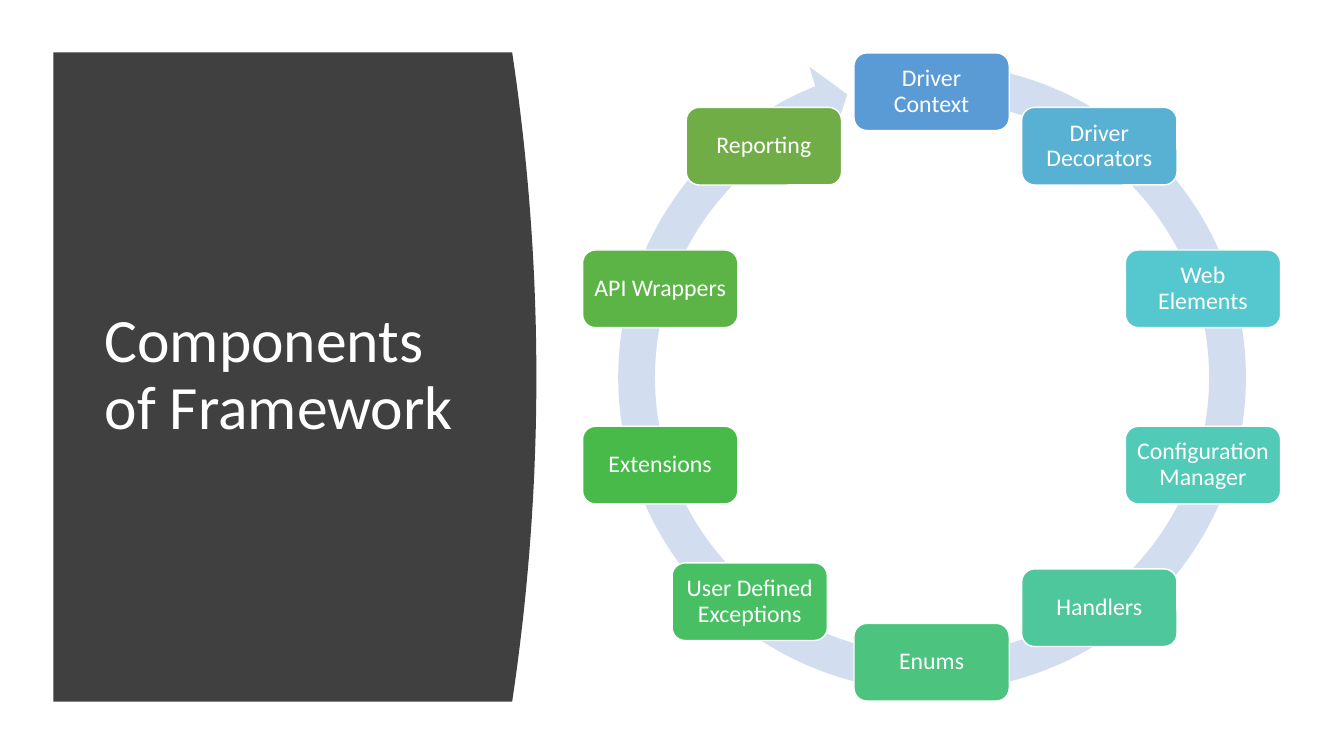
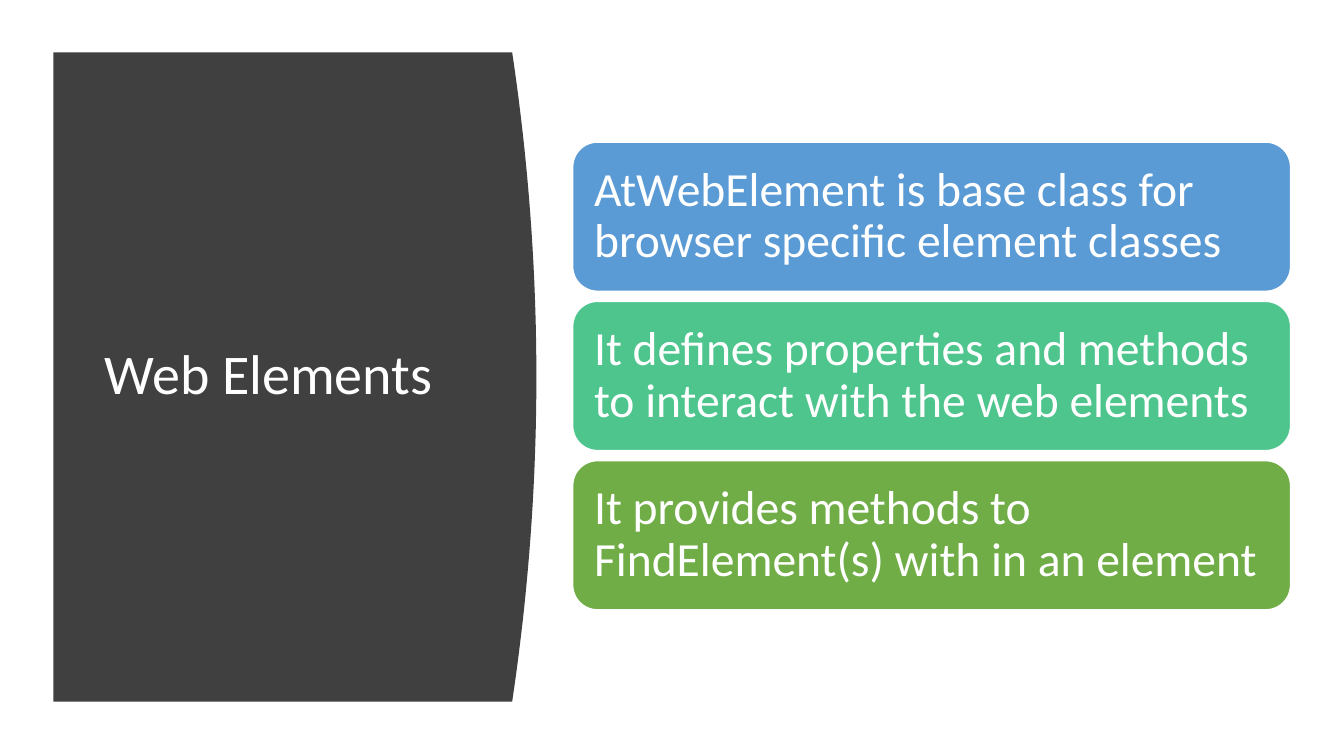
from math import cos, radians, sin

from pptx import Presentation
from pptx import util as u
from pptx.dml.color import RGBColor
from pptx.enum import shapes, text

FONT = "Calibri"
WHITE, PANEL, RING = "FFFFFF", "404040", "D2DEEF"

CYCLE_TITLE = ("Components of Framework", 44)
# Label, fill, nudge away from the regular place on the ring
COMPONENTS = [
    ("Driver Context", "5B9BD5", (0, 0)),
    ("Driver Decorators", "58B1D2", (0, 0)),
    ("Web Elements", "55C7CE", (0, 0)),
    ("Configuration Manager", "52CAB8", (0, 0)),
    ("Handlers", "4FC79C", (0, 0)),
    ("Enums", "4CC37F", (0, 0)),
    ("User Defined Exceptions", "49BF64", (-0.14, -0.06)),
    ("Extensions", "47BA49", (0, 0)),
    ("API Wrappers", "5CB447", (0, 0)),
    ("Reporting", "70AD47", (0, 0)),
]
RING_ADJUSTMENTS = (0.055, 3.307, 148.693, 167.503, 0.058)

POINTS_TITLE = ("Web Elements", 40)
POINTS = [
    ("AtWebElement is base class for browser specific element classes", "5B9BD5"),
    ("It defines properties and methods to interact with the web elements", "4DC58D"),
    ("It provides methods to FindElement(s) with in an element", "70AD47"),
]


def rgb(value):
    return RGBColor.from_string(value)


def paint(shape, fill, line=None):
    shape.shadow.inherit = False
    shape.fill.solid()
    shape.fill.fore_color.rgb = rgb(fill)
    if line:
        shape.line.color.rgb = rgb(line)
        shape.line.width = u.Pt(1)
    else:
        shape.line.fill.background()


def write(shape, words, size, align, inset=None):
    frame = shape.text_frame
    frame.word_wrap = True
    frame.vertical_anchor = text.MSO_ANCHOR.MIDDLE
    if inset is not None:
        frame.margin_left = frame.margin_right = u.Inches(inset)
        frame.margin_top = frame.margin_bottom = u.Inches(inset)
    paragraph = frame.paragraphs[0]
    paragraph.text = words
    paragraph.alignment = align
    paragraph.line_spacing = 0.9
    paragraph.font.size = u.Pt(size)
    paragraph.font.name = FONT
    paragraph.font.color.rgb = rgb(WHITE)


def add_preset(slide, kind, *box):
    return slide.shapes.add_shape(kind, *map(u.Inches, box))


def add_card(slide, box, words, fill, size, align, inset):
    card = add_preset(slide, shapes.MSO_SHAPE.ROUNDED_RECTANGLE, *box)
    paint(card, fill, WHITE)
    write(card, words, size, align, inset)


def add_panel(slide):
    """Dark title panel whose right edge bulges outwards as a parabola."""
    left, right, top, bottom, bulge, steps = 0.53, 5.08, 0.52, 6.96, 0.24, 40
    edge = []
    for step in range(steps + 1):
        t = step / steps
        edge.append((right + bulge * 4 * t * (1 - t), top + (bottom - top) * t))
    outline = slide.shapes.build_freeform(u.Inches(left), u.Inches(top))
    outline.add_line_segments(
        [(u.Inches(x), u.Inches(y)) for x, y in edge + [(left, bottom)]], close=True)
    paint(outline.convert_to_shape(), PANEL)


def add_titled_slide(prs, title, size):
    slide = prs.slides.add_slide(prs.slide_layouts[6])
    add_panel(slide)
    box = slide.shapes.add_textbox(*map(u.Inches, (0.94, 1.11, 3.74, 5.24)))
    write(box, title, size, text.PP_ALIGN.LEFT)
    return slide


def build_cycle(prs):
    slide = add_titled_slide(prs, *CYCLE_TITLE)
    ring = add_preset(slide, shapes.MSO_SHAPE.CIRCULAR_ARROW, 5.93, 0.43, 6.63, 6.63)
    for index, value in enumerate(RING_ADJUSTMENTS):
        ring.adjustments[index] = value
    paint(ring, RING)

    centre_x, centre_y, radius = 9.24, 3.74, 2.83
    width, height = 1.54, 0.77
    for index, (label, fill, (dx, dy)) in enumerate(COMPONENTS):
        angle = radians(360 / len(COMPONENTS) * index)
        x = centre_x + radius * sin(angle) + dx - width / 2
        y = centre_y - radius * cos(angle) + dy - height / 2
        add_card(slide, (x, y, width, height), label, fill, 17,
                 text.PP_ALIGN.CENTER, 0.07)


def build_points(prs):
    slide = add_titled_slide(prs, *POINTS_TITLE)
    top, height, gap = 1.41, 1.48, 0.1
    for index, (point, fill) in enumerate(POINTS):
        y = top + index * (height + gap)
        add_card(slide, (5.68, y, 7.12, height), point, fill, 34,
                 text.PP_ALIGN.LEFT, 0.14)


def main():
    prs = Presentation()
    prs.slide_width, prs.slide_height = u.Inches(13.33), u.Inches(7.5)
    build_cycle(prs)
    build_points(prs)
    prs.save("out.pptx")


if __name__ == "__main__":
    main()
